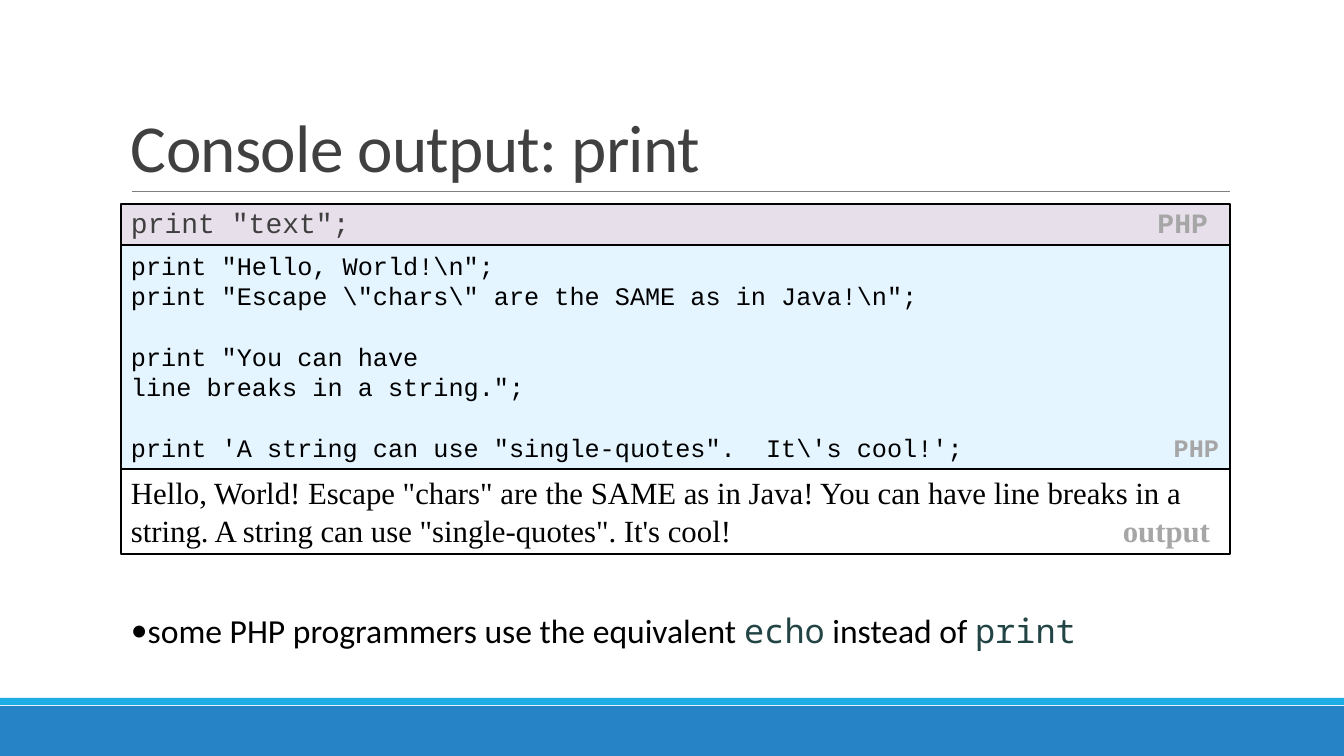
from lxml import etree
from pptx import Presentation
from pptx.dml.color import RGBColor
from pptx.enum.shapes import MSO_CONNECTOR, MSO_SHAPE
from pptx.enum.text import MSO_ANCHOR, PP_ALIGN
from pptx.oxml.ns import qn
from pptx.util import Emu, Pt

RECT = MSO_SHAPE.RECTANGLE
STRAIGHT = MSO_CONNECTOR.STRAIGHT
TOP, MIDDLE, BOTTOM = MSO_ANCHOR.TOP, MSO_ANCHOR.MIDDLE, MSO_ANCHOR.BOTTOM
LEFT_ALIGN = PP_ALIGN.LEFT

WIDTH, HEIGHT = 1344, 756
LEFT, BOX_WIDTH = 121, 1109
CODE, PROSE, SERIF, MONO = "Courier New", "Calibri", "Times New Roman", "Noto Sans Mono"
BLACK, DARK, TAG, TEAL = "000000", "404040", "A6A6A6", "224444"


def px(length):
    return Emu(round(length * 914400 / 100.8))


def color(value):
    return RGBColor.from_string(value)


class SlideBuilder:
    def __init__(self, slide):
        self.slide = slide

    def box(self, left, top, width, height, fill=None, border=None):
        shape = self.slide.shapes.add_shape(RECT, px(left), px(top), px(width), px(height))
        shape.shadow.inherit = False
        if fill:
            shape.fill.solid()
            shape.fill.fore_color.rgb = color(fill)
        else:
            shape.fill.background()
        if border:
            shape.line.color.rgb = color(border)
            shape.line.width = Pt(1.5)
        else:
            shape.line.fill.background()
        return shape

    def text_box(self, left, top, width, height):
        return self.slide.shapes.add_textbox(px(left), px(top), px(width), px(height))

    def rule(self, x1, y1, x2, y2, line, width):
        connector = self.slide.shapes.add_connector(STRAIGHT, px(x1), px(y1), px(x2), px(y2))
        connector.line.color.rgb = color(line)
        connector.line.width = Pt(width)
        etree.SubElement(connector._element.spPr, qn("a:effectLst"))

    def frame(self, shape, anchor):
        frame = shape.text_frame
        frame.word_wrap = True
        frame.vertical_anchor = anchor
        frame.margin_left = px(10)
        frame.margin_right = 0
        frame.margin_top = frame.margin_bottom = px(5)
        return frame

    def paragraph(self, frame, runs, size, spacing=1.0, before=0, first=False):
        """Each run is (text, font, colour, bold)."""
        paragraph = frame.paragraphs[0] if first else frame.add_paragraph()
        paragraph.alignment = LEFT_ALIGN
        paragraph.line_spacing = spacing
        paragraph.space_before = Pt(before)
        for text, font, ink, bold in runs:
            run = paragraph.add_run()
            run.text = text
            run.font.name = font
            run.font.size = Pt(size)
            run.font.bold = bold
            run.font.color.rgb = color(ink)
        return paragraph

    def right_tab(self, paragraph, position):
        tabs = etree.SubElement(paragraph._p.get_or_add_pPr(), qn("a:tabLst"))
        etree.SubElement(tabs, qn("a:tab"), pos=str(px(position)), algn="r")

    def bullet(self, paragraph, indent):
        properties = paragraph._p.get_or_add_pPr()
        properties.set("marL", str(px(indent)))
        properties.set("indent", str(-px(indent)))
        etree.SubElement(properties, qn("a:buFont"), typeface=PROSE)
        etree.SubElement(properties, qn("a:buChar"), char="•")


prs = Presentation()
prs.slide_width, prs.slide_height = px(WIDTH), px(HEIGHT)
page = SlideBuilder(prs.slides.add_slide(prs.slide_layouts[6]))

# Footer bands and title rule
page.box(0, 706, WIDTH, 50, "2683C6")
page.box(0, 698, WIDTH, 7, "1CADE4")
page.rule(132, 191, 1230, 191, "808080", 0.5)

# Title
title = page.frame(page.text_box(LEFT, 31, BOX_WIDTH, 160), BOTTOM)
heading = page.paragraph(title, [("Console output: print", PROSE, DARK, False)], 48, 0.85, first=True)
heading.runs[0].font._element.set("spc", "-50")

# Syntax, example and output: the last line of each panel ends in a tag.
# Lines are (text, points before).
line_pitch = 21.7
example_lines = [
    ('print "Hello, World!\\n";', 0),
    ('print "Escape \\"chars\\" are the SAME as in Java!\\n";', 0),
    ('print "You can have', line_pitch),
    ('line breaks in a string.";', 0),
    ('print \'A string can use "single-quotes".  It\\\'s cool!\';', line_pitch),
]
output_text = (
    'Hello, World! Escape "chars" are the SAME as in Java! You can have line breaks '
    'in a string. A string can use "single-quotes". It\'s cool!'
)
panels = [
    # top, height, fill, anchor, lines, font, size, spacing, ink, tag, tag position
    (204, 41, "E7DFE9", MIDDLE, [('print "text";', 0)], CODE, 20, 0.9, DARK, "PHP", 1077),
    (245, 224, "E5F5FF", TOP, example_lines, CODE, 18, Pt(line_pitch), BLACK, "PHP", 1088),
    (469, 85, None, TOP, [(output_text, 0)], SERIF, 22, Pt(26.5), BLACK, "output", 1079),
]
for top, height, fill, anchor, lines, font, size, spacing, ink, tag, tag_end in panels:
    panel = page.frame(page.box(LEFT, top, BOX_WIDTH, height, fill, BLACK), anchor)
    for number, (text, before) in enumerate(lines):
        runs = [(text, font, ink, False)]
        is_last = number == len(lines) - 1
        if is_last:
            runs.append(("\t" + tag, font, TAG, True))
        line = page.paragraph(panel, runs, size, spacing, before, first=number == 0)
        if is_last:
            page.right_tab(line, tag_end)

# Remark
remark = page.frame(page.text_box(LEFT, 602, BOX_WIDTH, 57), MIDDLE)
echo_note = page.paragraph(remark, [
    ("some PHP programmers use the equivalent ", PROSE, BLACK, False),
    ("echo", MONO, TEAL, False),
    (" instead of ", PROSE, BLACK, False),
    ("print", MONO, TEAL, False),
], 24, first=True)
page.bullet(echo_note, 11)

prs.save("out.pptx")
